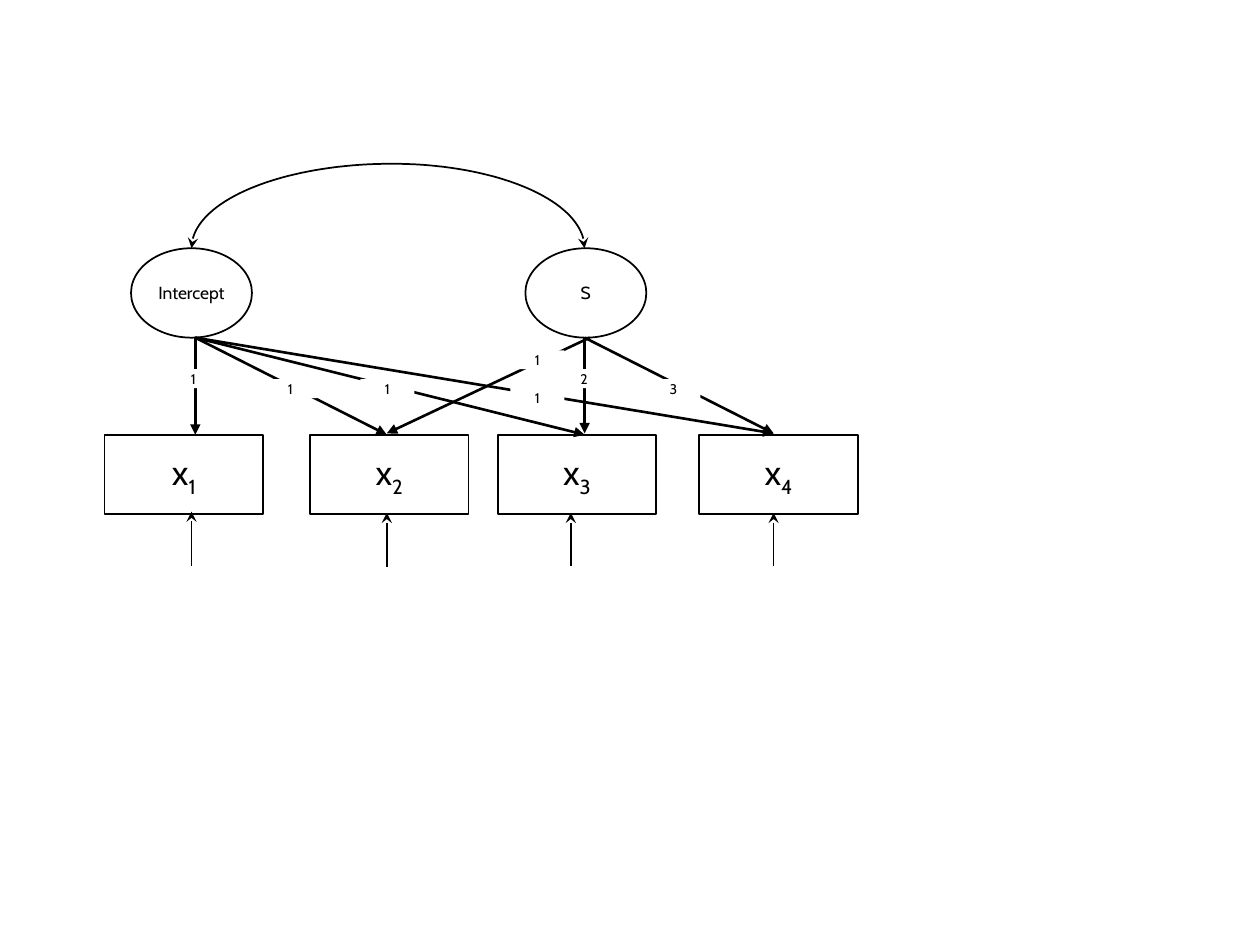
from math import cos, pi, sin

from lxml.etree import SubElement
from pptx import Presentation
from pptx.dml.color import RGBColor
from pptx.enum.shapes import MSO_CONNECTOR, MSO_SHAPE
from pptx.enum.text import MSO_ANCHOR, PP_ALIGN
from pptx.oxml.ns import qn
from pptx.util import Inches, Pt

COLORS = {"ink": "000000", "paper": "FFFFFF"}
FONT = "Cabin"

# Observed variables: left edge of box, x of the residual arrow and its ends
BOX_TOP, BOX_WIDTH, BOX_HEIGHT = 3.45, 1.26, 0.63
OBSERVED = [
    ("1", 0.83, 1.52, 4.06, 4.49),
    ("2", 2.46, 3.07, 4.07, 4.5),
    ("3", 3.95, 4.53, 4.07, 4.49),
    ("4", 5.55, 6.14, 4.07, 4.49),
]

# Latent factors: name, left edge
FACTOR_TOP, FACTOR_WIDTH, FACTOR_HEIGHT = 1.97, 0.96, 0.71
FACTORS = [("Intercept", 1.04), ("S", 4.17)]

# Loadings: start x, end x, end y
LOADING_TOP = 2.68
LOADINGS = [
    (1.55, 1.55, 3.45), (1.55, 3.07, 3.45), (1.55, 4.64, 3.45), (1.55, 6.14, 3.44),
    (4.68, 3.07, 3.44), (4.64, 6.14, 3.44), (4.64, 4.64, 3.44),
]

# Loading values: text, left, top
LABEL_WIDTH, LABEL_HEIGHT = 0.43, 0.15
LABELS = [
    ("1", 1.32, 2.93), ("1", 2.09, 3.01), ("1", 2.86, 3.01), ("1", 4.05, 3.08),
    ("1", 4.05, 2.78), ("2", 4.42, 2.93), ("3", 5.13, 3.01),
]

# Covariance arc: left foot, crown and right foot
ARC_LEFT, ARC_MIDDLE, ARC_RIGHT = 1.52, 3.11, 4.64
ARC_TOP, ARC_BOTTOM = 1.3, 1.97
ARC_STEPS = 40


def rgb(name):
    return RGBColor.from_string(COLORS[name])


def style_line(shape, width, head=None, tail=None):
    """Set an ink line with optional arrowheads at its start and end."""
    shape.line.color.rgb = rgb("ink")
    shape.line.width = Pt(width)
    for tag, kind in (("a:headEnd", head), ("a:tailEnd", tail)):
        if kind:
            SubElement(shape.line._get_or_add_ln(), qn(tag), type=kind)


def add_node(shapes, kind, left, top, width, height, text, size, margins=(0, 0)):
    """Add an outlined, unfilled shape with centred text."""
    node = shapes.add_shape(kind, Inches(left), Inches(top), Inches(width), Inches(height))
    node.shadow.inherit = False
    node.fill.background()
    style_line(node, 1)
    frame = node.text_frame
    frame.word_wrap = False
    frame.vertical_anchor = MSO_ANCHOR.MIDDLE
    frame.margin_left = frame.margin_right = Inches(margins[0])
    frame.margin_top = frame.margin_bottom = Inches(margins[1])
    para = frame.paragraphs[0]
    para.alignment = PP_ALIGN.CENTER
    add_span(para, text, size)
    return node


def add_span(para, text, size):
    span = para.add_run()
    span.text = text
    span.font.name = FONT
    span.font.size = Pt(size)
    span.font.color.rgb = rgb("ink")
    return span


def add_observed(shapes, index, left):
    box = add_node(shapes, MSO_SHAPE.RECTANGLE, left, BOX_TOP, BOX_WIDTH, BOX_HEIGHT,
                   "x", 20, (0.1, 0.05))
    subscript = add_span(box.text_frame.paragraphs[0], index, 20)
    subscript.font._element.set("baseline", "-25000")


def add_label(shapes, text, left, top):
    label = add_node(shapes, MSO_SHAPE.RECTANGLE, left, top, LABEL_WIDTH, LABEL_HEIGHT, text, 8)
    label.fill.solid()
    label.fill.fore_color.rgb = rgb("paper")
    label.line.fill.background()


def add_arrow(shapes, start, end, width, head=None, tail=None):
    ends = [Inches(value) for value in (*start, *end)]
    arrow = shapes.add_connector(MSO_CONNECTOR.STRAIGHT, *ends)
    style_line(arrow, width, head, tail)
    SubElement(arrow._element.spPr, qn("a:effectLst"))


def add_arc(shapes, foot, start, stop, head=None, tail=None):
    """Add a quarter ellipse from the start to the stop angle, counted from the foot."""
    points = []
    for step in range(ARC_STEPS + 1):
        angle = start + (stop - start) * step / ARC_STEPS
        points.append((Inches(ARC_MIDDLE + (foot - ARC_MIDDLE) * cos(angle)),
                       Inches(ARC_BOTTOM - (ARC_BOTTOM - ARC_TOP) * sin(angle))))
    builder = shapes.build_freeform(*points[0])
    builder.add_line_segments(points[1:], close=False)
    arc = builder.convert_to_shape()
    arc.shadow.inherit = False
    arc.fill.background()
    style_line(arc, 1, head, tail)


def main():
    deck = Presentation()
    deck.slide_width, deck.slide_height = Inches(10), Inches(7.5)
    page = deck.slides.add_slide(deck.slide_layouts[6])
    shapes = page.shapes.add_group_shape().shapes

    # Observed variables with their residual arrows
    for index, left, x, top, bottom in OBSERVED:
        add_observed(shapes, index, left)
        add_arrow(shapes, (x, top), (x, bottom), 1, head="stealth")

    # Latent factors
    for name, left in FACTORS:
        add_node(shapes, MSO_SHAPE.OVAL, left, FACTOR_TOP, FACTOR_WIDTH, FACTOR_HEIGHT, name, 10)

    # Loadings and their values
    for start, end, bottom in LOADINGS:
        add_arrow(shapes, (start, LOADING_TOP), (end, bottom), 1.5, tail="triangle")
    for text, left, top in LABELS:
        add_label(shapes, text, left, top)

    # Covariance between the factors
    add_arc(shapes, ARC_RIGHT, pi / 2, 0, tail="stealth")
    add_arc(shapes, ARC_LEFT, 0, pi / 2, head="stealth")

    deck.save("out.pptx")


if __name__ == "__main__":
    main()
